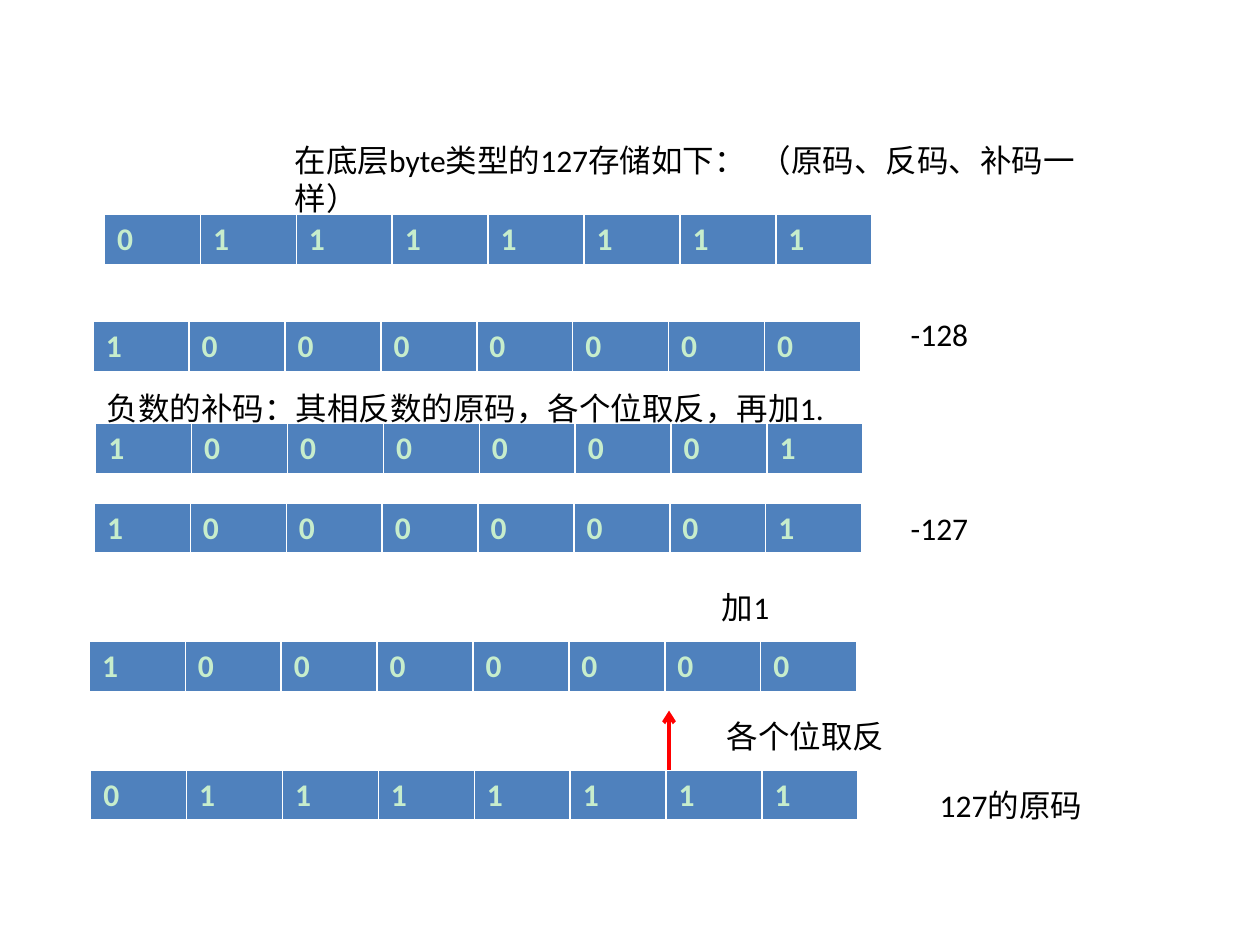
import pptx
import pptx.util
import pptx.dml.color
import pptx.enum.shapes
import pptx.enum.text
import pptx.oxml
import pptx.oxml.ns

Inches, Pt = pptx.util.Inches, pptx.util.Pt
RGB = pptx.dml.color.RGBColor
WHITE = RGB(0xFF, 0xFF, 0xFF)
BLACK = RGB(0, 0, 0)
BLUE = RGB(0x4F, 0x81, 0xBD)
GREEN = RGB(0xC7, 0xED, 0xCC)
RED = RGB(0xFF, 0, 0)
FONT, SIZE = "Calibri", Pt(18)
WIDE, HIGH = 6.09, 0.41

# Bytes: left, top, bits
BYTES = [
    (0.83, 1.7, "01111111"),
    (0.74, 2.55, "10000000"),
    (0.76, 3.36, "10000001"),
    (0.75, 3.99, "10000001"),
    (0.71, 5.09, "10000000"),
    (0.72, 6.11, "01111111"),
]

# Notes: left, top, width, text
NOTES = [
    (2.24, 1.07, 6.85, "在底层byte类型的127存储如下：  （原码、反码、补码一样）"),
    (0.75, 3.04, 8.35, "负数的补码：其相反数的原码，各个位取反，再加1."),
    (7.13, 2.45, 1.57, "-128"),
    (7.13, 3.99, 1.57, "-127"),
    (5.63, 4.62, 2.72, "加1"),
    (5.67, 5.64, 2.72, "各个位取反"),
    (7.36, 6.19, 1.57, "127的原码"),
]

# Arrow from the lowest byte up
ARROW = (5.31, 6.11, 5.31, 5.64)
EDGES = {"lnL": 1, "lnR": 1, "lnT": 1, "lnB": 3}


def style(para, color, bold=False):
    font = para.font
    font.name, font.size, font.bold = FONT, SIZE, bold
    font.color.rgb = color


def edge(cell):
    props = cell._tc.get_or_add_tcPr()
    for at, (tag, width) in enumerate(EDGES.items()):
        props.insert(at, pptx.oxml.parse_xml(
            f'<a:{tag} {pptx.oxml.ns.nsdecls("a")} w="{Pt(width)}"><a:solidFill>'
            f'<a:srgbClr val="{WHITE}"/></a:solidFill></a:{tag}>'))


def add_byte(slide, left, top, bits):
    table = slide.shapes.add_table(
        1, len(bits), Inches(left), Inches(top), Inches(WIDE), Inches(HIGH)).table
    for cell, bit in zip(table.iter_cells(), bits):
        cell.text = bit
        cell.fill.solid()
        cell.fill.fore_color.rgb = BLUE
        style(cell.text_frame.paragraphs[0], GREEN, True)
        edge(cell)


def add_note(slide, left, top, width, text):
    box = slide.shapes.add_textbox(
        Inches(left), Inches(top), Inches(width), Inches(0.4))
    frame = box.text_frame
    frame.word_wrap = True
    frame.auto_size = pptx.enum.text.MSO_AUTO_SIZE.SHAPE_TO_FIT_TEXT
    frame.text = text
    style(frame.paragraphs[0], BLACK)


def add_arrow(slide, ends):
    line = slide.shapes.add_connector(
        pptx.enum.shapes.MSO_CONNECTOR.STRAIGHT, *map(Inches, ends))
    line.line.color.rgb = RED
    line.line.width = Pt(2.25)
    make = pptx.oxml.ns.nsdecls("a")
    line.line._get_or_add_ln().append(
        pptx.oxml.parse_xml(f'<a:tailEnd {make} type="arrow"/>'))
    line._element.spPr.append(pptx.oxml.parse_xml(f"<a:effectLst {make}/>"))


def main():
    deck = pptx.Presentation()
    deck.slide_width, deck.slide_height = Inches(10), Inches(7.5)
    slide = deck.slides.add_slide(deck.slide_layouts[6])
    slide.background.fill.solid()
    slide.background.fill.fore_color.rgb = WHITE
    for item in BYTES:
        add_byte(slide, *item)
    for item in NOTES:
        add_note(slide, *item)
    add_arrow(slide, ARROW)
    deck.save("out.pptx")


if __name__ == "__main__":
    main()
